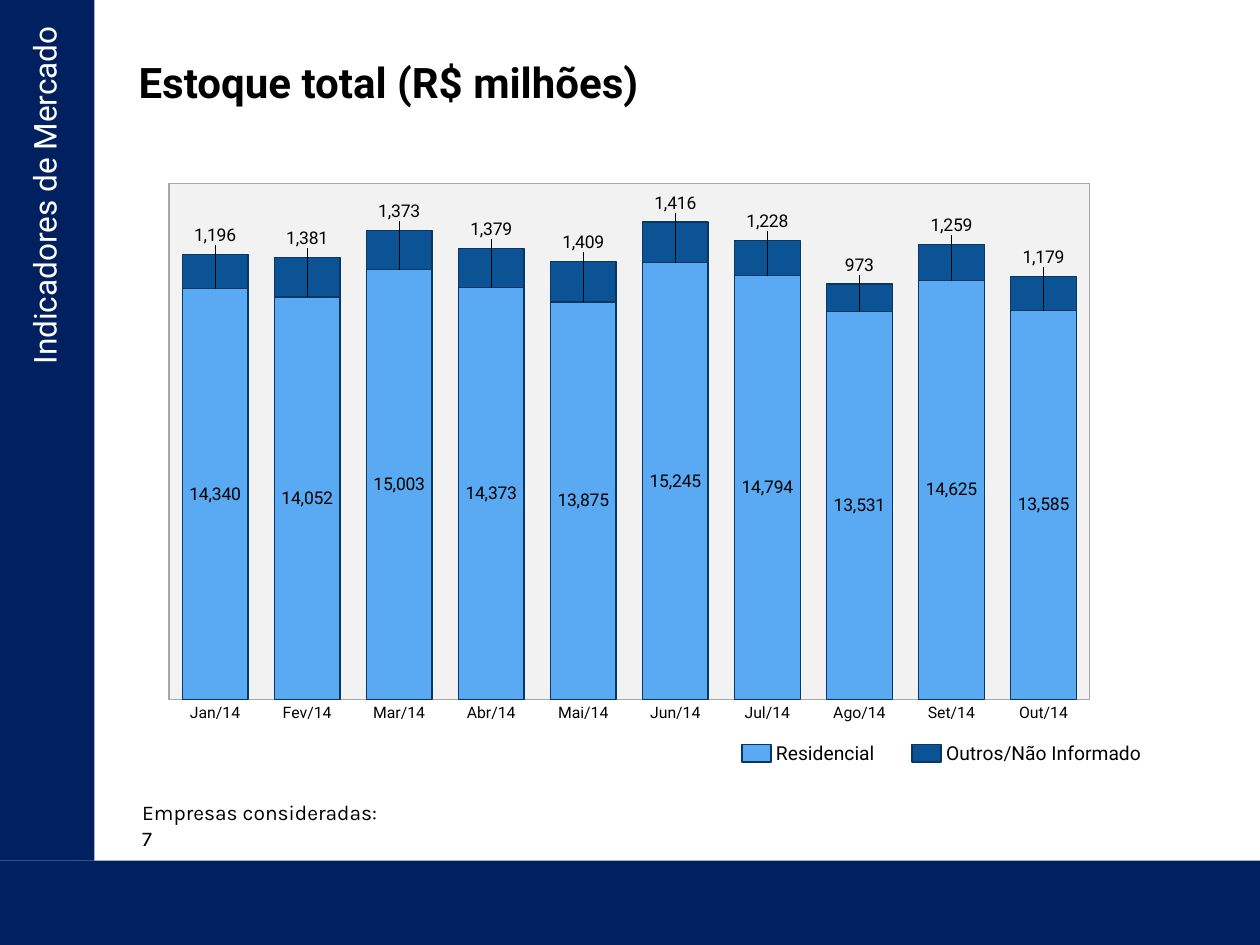
import pptx
import pptx.util
import pptx.dml.color
import pptx.chart.data
import pptx.enum.chart
import pptx.enum.shapes
import pptx.enum.text
import pptx.oxml
import pptx.oxml.ns

COLORS = {
    "navy": "002060", "white": "FFFFFF", "black": "000000", "sky": "59AAF2",
    "blue": "0B5394", "outline": "083763", "plot": "F2F2F2", "frame": "A6A6A6",
}
MONTHS = "Jan Fev Mar Abr Mai Jun Jul Ago Set Out".split()
STOCK = [
    ("Residencial", "sky",
     [14340, 14052, 15003, 14373, 13875, 15245, 14794, 13531, 14625, 13585]),
    ("Outros/Não Informado", "blue",
     [1196, 1381, 1373, 1379, 1409, 1416, 1228, 973, 1259, 1179]),
]
AXIS_MAX = 18000
PLOT_HEIGHT = 0.92
LABEL_GAP = 0.007
ALIGN = pptx.enum.text.PP_ALIGN


class MarketSlide:
    font = "Roboto"

    def __init__(self, deck):
        self.deck = deck
        self.slide = deck.slides.add_slide(deck.slide_layouts[5])

    def place(self, left, top, width, height):
        across, down = self.deck.slide_width / 100, self.deck.slide_height / 100
        return [round(n) for n in (left * across, top * down, width * across, height * down)]

    def color(self, name):
        return pptx.dml.color.RGBColor.from_string(COLORS[name])

    def style(self, font, size, color="black", bold=False, name=None):
        font.name = name or self.font
        font.size = pptx.util.Pt(size)
        font.bold = bold
        font.color.rgb = self.color(color)

    def paint(self, target, fill, line=None, weight=1):
        target.fill.solid()
        target.fill.fore_color.rgb = self.color(fill)
        if line:
            target.line.color.rgb = self.color(line)
            target.line.width = pptx.util.Pt(weight)
        else:
            target.line.fill.background()

    def title(self, words, box):
        heading = self.slide.shapes.title
        heading.left, heading.top, heading.width, heading.height = self.place(*box)
        heading.text_frame.text = words
        heading.text_frame.vertical_anchor = pptx.enum.text.MSO_ANCHOR.MIDDLE
        heading.text_frame.paragraphs[0].alignment = ALIGN.LEFT
        self.style(heading.text_frame.paragraphs[0].runs[0].font, 24, bold=True)

    def block(self, box, fill, line=None):
        block = self.slide.shapes.add_shape(
            pptx.enum.shapes.MSO_SHAPE.RECTANGLE, *self.place(*box))
        block.shadow.inherit = False
        self.paint(block, fill, line)

    def text(self, words, box, size, color="black", name=None, align=ALIGN.LEFT, turn=0):
        caption = self.slide.shapes.add_textbox(*self.place(*box))
        caption.rotation = turn
        caption.text_frame.word_wrap = True
        caption.text_frame.text = words
        paragraph = caption.text_frame.paragraphs[0]
        paragraph.alignment = align
        self.style(paragraph.runs[0].font, size, color, name=name)

    def layout(self, **shares):
        parts = "".join(f'<c:{key} val="{share}"/>' for key, share in shares.items())
        modes = '<c:xMode val="edge"/><c:yMode val="edge"/>' if "w" in shares else ""
        target = '<c:layoutTarget val="inner"/>' if modes else ""
        return pptx.oxml.parse_xml(
            f'<c:layout {pptx.oxml.ns.nsdecls("c")}><c:manualLayout>'
            f'{target}{modes}{parts}</c:manualLayout></c:layout>')

    def frame_plot(self, chart):
        area = chart.plots[0]._element.getparent()
        for old in area.findall(pptx.oxml.ns.qn("c:layout")):
            area.remove(old)
        area.insert(0, self.layout(x=0.0186, y=0.02, w=0.96, h=PLOT_HEIGHT))
        area.append(pptx.oxml.parse_xml(
            f'<c:spPr {pptx.oxml.ns.nsdecls("c", "a")}>'
            f'<a:solidFill><a:srgbClr val="{COLORS["plot"]}"/></a:solidFill>'
            f'<a:ln w="9525"><a:solidFill><a:srgbClr val="{COLORS["frame"]}"/>'
            '</a:solidFill></a:ln></c:spPr>'))

    def lift_labels(self, series):
        for index, amount in enumerate(series.values):
            label = series.points[index].data_label
            label.position = pptx.enum.chart.XL_LABEL_POSITION.INSIDE_BASE
            self.style(label.font, 10)
            rise = amount / AXIS_MAX * PLOT_HEIGHT + LABEL_GAP
            label._dLbl.insert(1, self.layout(x=0, y=round(-rise, 4)))

    def stacked_chart(self, categories, stock, box):
        data = pptx.chart.data.CategoryChartData(number_format="#,##0")
        data.categories = categories
        for name, _, amounts in stock:
            data.add_series(name, amounts)
        chart = self.slide.shapes.add_chart(
            pptx.enum.chart.XL_CHART_TYPE.COLUMN_STACKED, *self.place(*box), data).chart
        chart.has_legend = chart.has_title = False
        self.style(chart.font, 10)

        amounts_axis, months_axis = chart.value_axis, chart.category_axis
        amounts_axis.minimum_scale, amounts_axis.maximum_scale = 0, AXIS_MAX
        amounts_axis.has_major_gridlines = amounts_axis.visible = False
        months_axis.major_tick_mark = pptx.enum.chart.XL_TICK_MARK.NONE
        months_axis.format.line.color.rgb = self.color("frame")
        self.style(months_axis.tick_labels.font, 9)

        plot = chart.plots[0]
        plot.gap_width, plot.overlap, plot.vary_by_categories = 40, 100, False
        for series, (_, fill, _) in zip(plot.series, stock):
            self.paint(series.format, fill, "outline", 0.75)
            labels = series.data_labels
            labels.show_value = True
            labels.number_format, labels.number_format_is_linked = "#,##0", False
            self.style(labels.font, 10)
        self.lift_labels(plot.series[1])
        self.frame_plot(chart)

    def legend(self, stock, left, top, step):
        for index, (name, fill, _) in enumerate(stock):
            start = left + index * step
            self.block((start, top + 1.07, 2.3, 1.87), fill, "outline")
            self.text(name, (start + 1.7, top, 20.9, 3.87), 11)


def main():
    deck = pptx.Presentation()
    deck.slide_width, deck.slide_height = pptx.util.Inches(10), pptx.util.Inches(7.5)
    market = MarketSlide(deck)
    market.block((0, 91.07, 100, 8.93), "navy")
    market.block((0, 0, 7.5, 91.07), "navy")
    market.text("Indicadores de Mercado", (-25.5, 37.47, 58, 5.33), 18, "white",
                align=ALIGN.RIGHT, turn=270)
    market.title("Estoque total (R$ milhões)", (10, 4, 85, 9.33))
    market.stacked_chart([f"{month}/14" for month in MONTHS], STOCK, (12, 18.27, 76.1, 59.33))
    market.legend(STOCK, 58.9, 77.73, 13.5)
    market.text("Empresas consideradas: 7", (10.3, 84, 21.2, 4), 12, name="Karla")
    deck.save("out.pptx")


if __name__ == "__main__":
    main()
